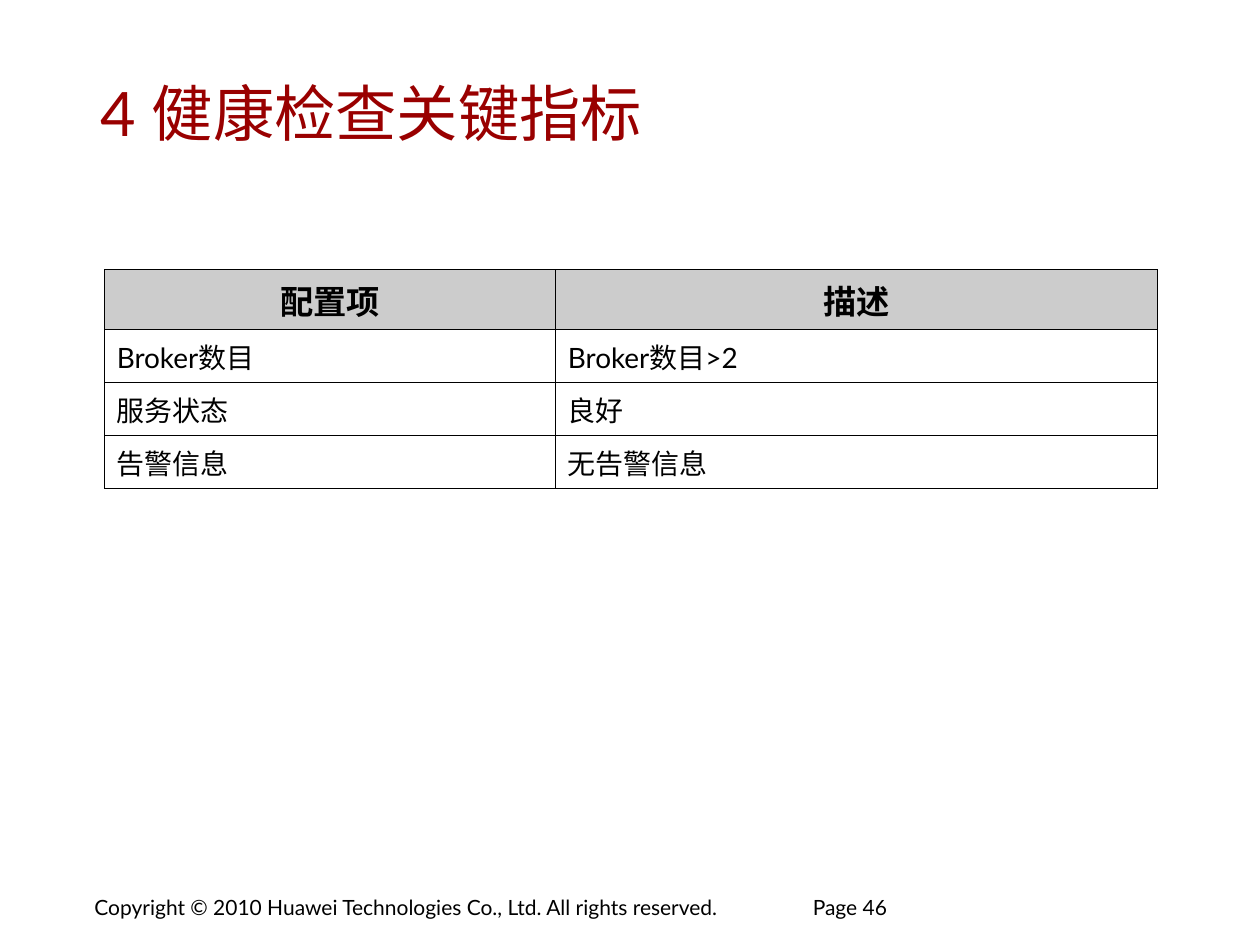
from lxml.etree import SubElement
from pptx import Presentation
from pptx.dml.color import RGBColor
from pptx.enum.text import MSO_ANCHOR as Anchor, PP_ALIGN as Align
from pptx.oxml.ns import qn
from pptx.util import Pt

FONT = "Lato"
COLORS = {"title": "990000", "text": "000000", "header": "CCCCCC", "border": "000000"}

TITLE = "4 健康检查关键指标"
FOOTERS = [
    ("Copyright © 2010 Huawei Technologies Co., Ltd. All rights reserved.", 47.5, 401),
    ("Page 46", 458, 102),
]
ROWS = [
    ("配置项", "描述"),
    ("Broker数目", "Broker数目>2"),
    ("服务状态", "良好"),
    ("告警信息", "无告警信息"),
]
TABLE_LEFT, TABLE_TOP = 59.8, 154
COLUMN_WIDTHS = (257.8, 344)
HEADER_HEIGHT, ROW_HEIGHT = 34.3, 30.3
BORDER_WIDTH = 0.45


def style_text(paragraph, size, color, bold=False):
    for run in paragraph.runs:
        run.font.name = FONT
        run.font.size = Pt(size)
        run.font.bold = bold
        run.font.color.rgb = RGBColor.from_string(COLORS[color])


def add_text(slide, text, left, top, width, height, size, color, wrap=True, anchor=Anchor.TOP):
    shape = slide.shapes.add_textbox(Pt(left), Pt(top), Pt(width), Pt(height))
    frame = shape.text_frame
    frame.text = text
    frame.word_wrap = wrap
    frame.vertical_anchor = anchor
    frame.margin_left = frame.margin_right = Pt(6.5)
    frame.margin_top = frame.margin_bottom = Pt(3)
    style_text(frame.paragraphs[0], size, color)


def add_borders(cell):
    """Line all four sides; the lines must come before the cell's fill."""
    properties = cell._tc.get_or_add_tcPr()
    for side in ("lnL", "lnR", "lnT", "lnB"):
        line = SubElement(properties, qn(f"a:{side}"), w=str(Pt(BORDER_WIDTH)))
        fill = SubElement(line, qn("a:solidFill"))
        SubElement(fill, qn("a:srgbClr"), val=COLORS["border"])


def add_indicator_table(slide):
    heights = [HEADER_HEIGHT] + [ROW_HEIGHT] * (len(ROWS) - 1)
    table = slide.shapes.add_table(
        len(ROWS), len(COLUMN_WIDTHS), Pt(TABLE_LEFT), Pt(TABLE_TOP),
        Pt(sum(COLUMN_WIDTHS)), Pt(sum(heights)),
    ).table
    table.horz_banding = False
    for column, width in zip(table.columns, COLUMN_WIDTHS):
        column.width = Pt(width)
    for row_index, (texts, height) in enumerate(zip(ROWS, heights)):
        is_header = row_index == 0
        table.rows[row_index].height = Pt(height)
        for cell, text in zip(table.rows[row_index].cells, texts):
            cell.text_frame.text = text
            cell.vertical_anchor = Anchor.MIDDLE
            cell.margin_left = cell.margin_right = Pt(7)
            cell.margin_top = cell.margin_bottom = Pt(3.6)
            add_borders(cell)
            if is_header:
                cell.fill.solid()
                cell.fill.fore_color.rgb = RGBColor.from_string(COLORS["header"])
            else:
                cell.fill.background()
            paragraph = cell.text_frame.paragraphs[0]
            paragraph.alignment = Align.CENTER if is_header else Align.LEFT
            style_text(paragraph, 19 if is_header else 16, "text", bold=is_header)


def main():
    presentation = Presentation()
    presentation.slide_width, presentation.slide_height = Pt(720), Pt(540)
    slide = presentation.slides.add_slide(presentation.slide_layouts[6])
    for text, left, width in FOOTERS:
        add_text(slide, text, left, 508, width, 21, 12, "text", wrap=False)
    add_text(slide, TITLE, 51, 30, 610, 68.5, 35, "title", anchor=Anchor.MIDDLE)
    add_indicator_table(slide)
    presentation.save("out.pptx")


if __name__ == "__main__":
    main()
